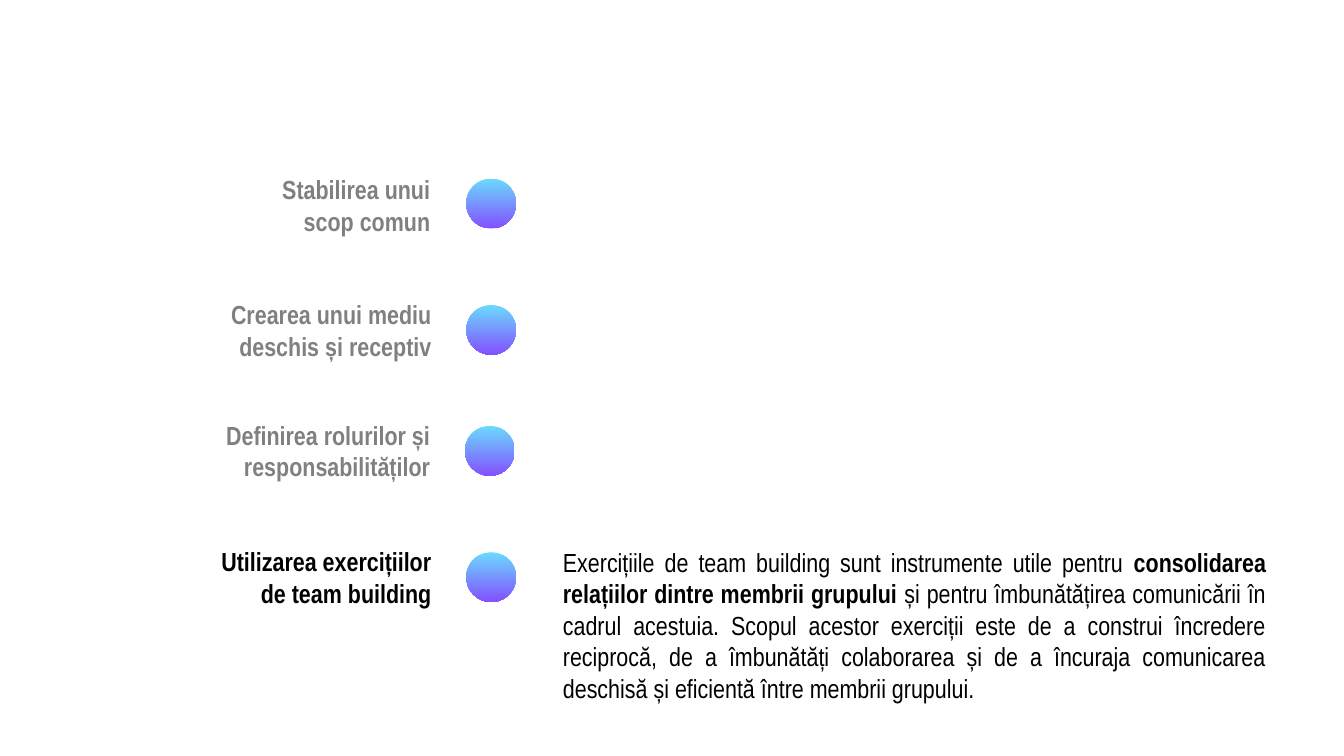
from pptx import Presentation
from pptx.dml.color import RGBColor
from pptx.enum.shapes import MSO_SHAPE as Shape
from pptx.enum.text import MSO_ANCHOR as Anchor, PP_ALIGN as Align
from pptx.util import Inches, Pt

COLORS = {"active": "000000", "muted": "808080", "top": "6BD9FE", "bottom": "8450FF"}
FONT = "Arial Narrow"
SLIDE_WIDTH = 10
DOT_SIZE = 0.37

# Label, label left, label top, label width, dot left, dot top, colour
STEPS = [
    ("Stabilirea unui scop comun", 1.8, 1.34, 1.5, 3.47, 1.33, "muted"),
    ("Crearea unui mediu deschis și receptiv", 1.35, 2.27, 1.96, 3.47, 2.27, "muted"),
    ("Definirea rolurilor și responsabilităților", 1.2, 3.17, 2.1, 3.46, 3.17, "muted"),
    ("Utilizarea exercițiilor de team building", 1.48, 4.11, 1.83, 3.47, 4.11, "active"),
]

# Text, bold
DESCRIPTION = [
    ("Exercițiile de team building sunt instrumente utile pentru ", False),
    ("consolidarea relațiilor dintre membrii grupului ", True),
    ("și pentru îmbunătățirea comunicării în cadrul acestuia. Scopul acestor "
     "exerciții este de a construi încredere reciprocă, de a îmbunătăți "
     "colaborarea și de a încuraja comunicarea deschisă și eficientă între "
     "membrii grupului.", False),
]


def color(name):
    return RGBColor.from_string(COLORS[name])


def add_dot(page, left, top):
    dot = page.shapes.add_shape(Shape.OVAL, Inches(left), Inches(top),
                                Inches(DOT_SIZE), Inches(DOT_SIZE))
    dot.shadow.inherit = False
    dot.line.fill.background()
    dot.fill.gradient()
    dot.fill.gradient_angle = 270
    for stop, name in zip(dot.fill.gradient_stops, ("top", "bottom")):
        stop.color.rgb = color(name)


def add_text(page, left, top, width, height, spans, align, color_name):
    box = page.shapes.add_textbox(Inches(left), Inches(top), Inches(width), Inches(height))
    frame = box.text_frame
    frame.word_wrap = True
    frame.vertical_anchor = Anchor.MIDDLE
    frame.margin_left = frame.margin_right = Inches(0.1)
    frame.margin_top = frame.margin_bottom = Inches(0.1)
    para = frame.paragraphs[0]
    para.alignment = align
    para.font.name = FONT
    para.font.size = Pt(14)
    para.font.color.rgb = color(color_name)
    for text, bold in spans:
        span = para.add_run()
        span.text = text
        span.font.bold = bold


def main():
    # Widescreen 16:9 page
    deck = Presentation()
    deck.slide_width = Inches(SLIDE_WIDTH)
    deck.slide_height = Inches(SLIDE_WIDTH * 9 / 16)
    page = deck.slides.add_slide(deck.slide_layouts[6])

    # Timeline of steps
    for label, left, top, width, dot_left, dot_top, color_name in STEPS:
        add_dot(page, dot_left, dot_top)
        add_text(page, left, top, width, DOT_SIZE,
                 [(label, True)], Align.RIGHT, color_name)

    # Description of the active step
    add_text(page, 4.09, 4.01, 5.43, 1.28, DESCRIPTION, Align.JUSTIFY, "active")

    deck.save("out.pptx")


if __name__ == "__main__":
    main()
